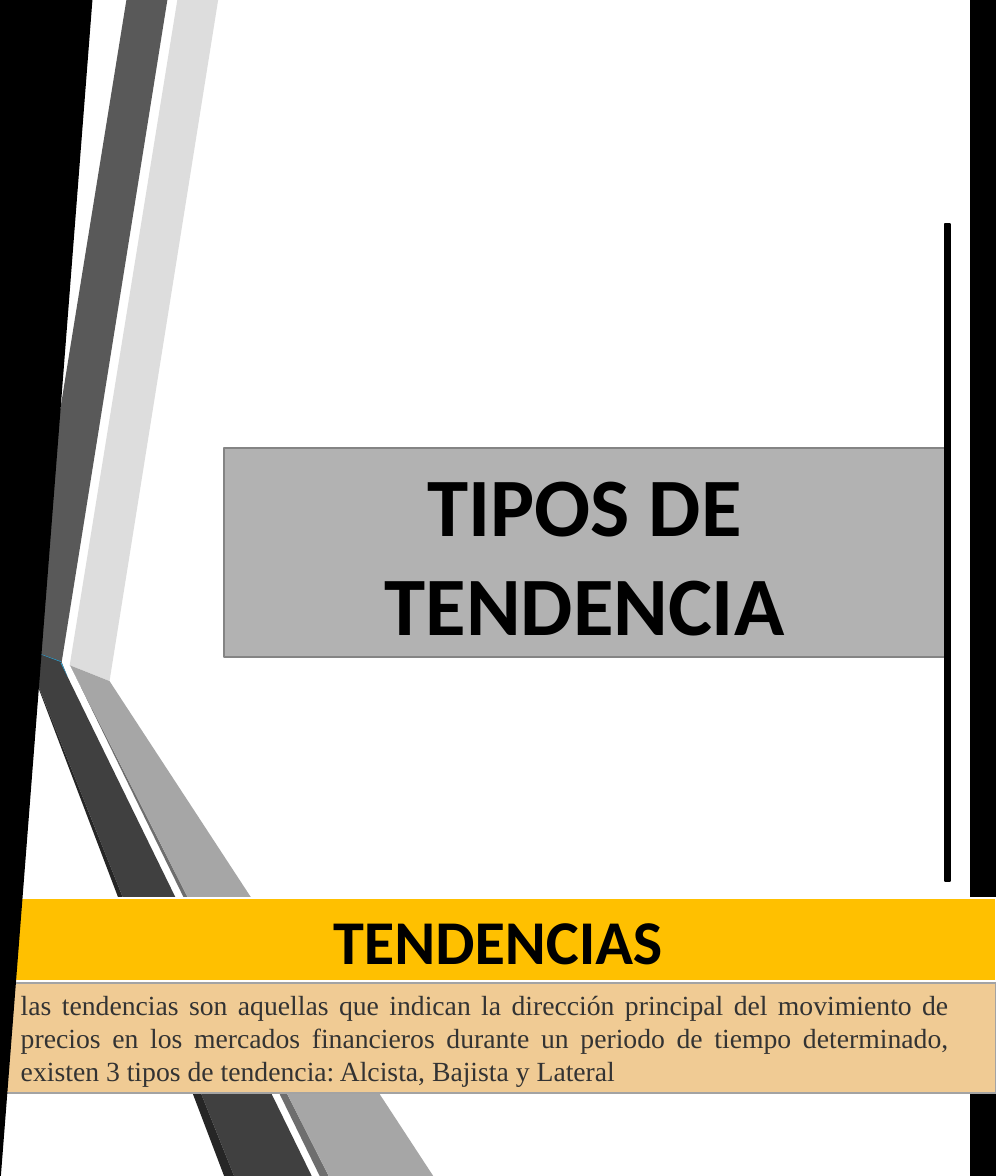
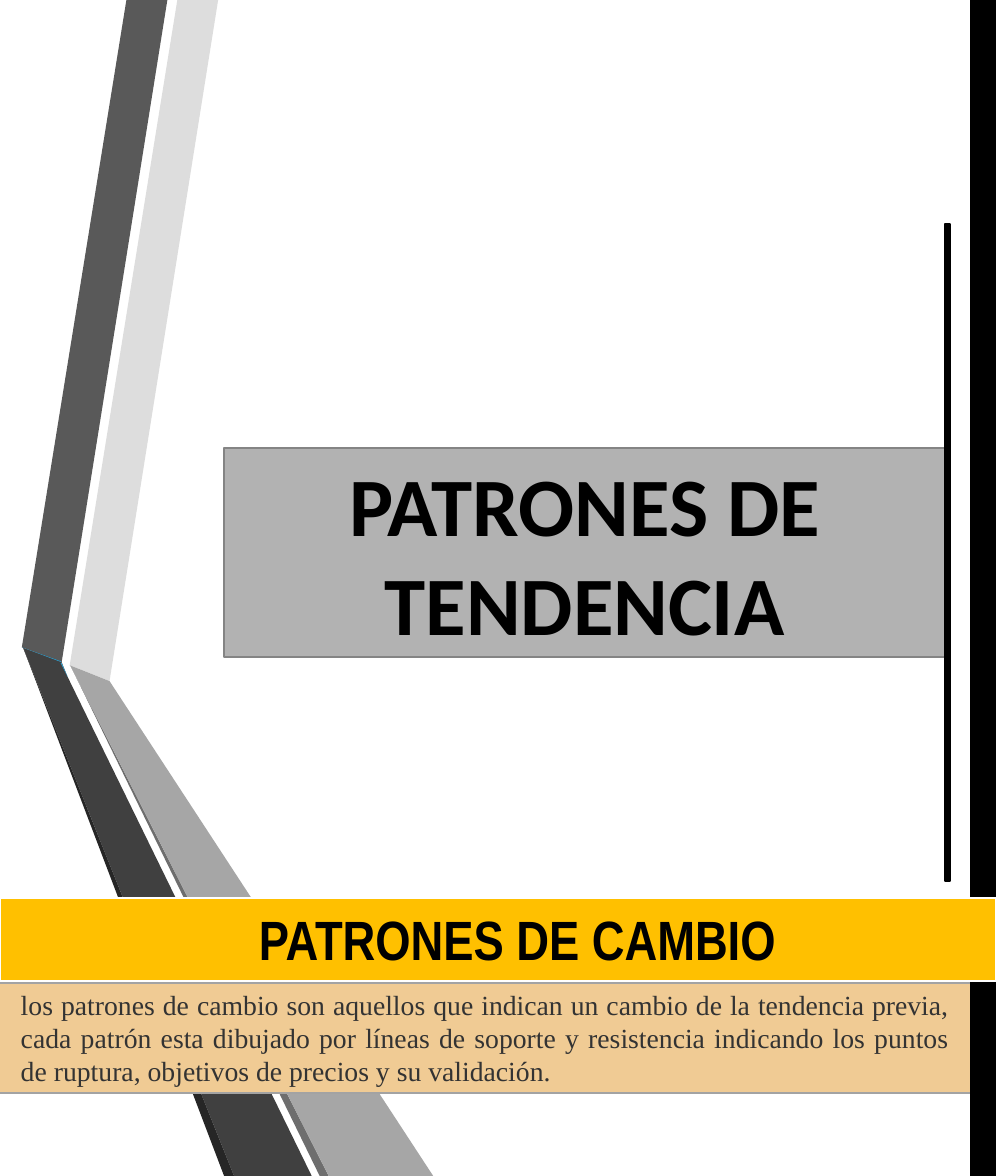
from pptx import Presentation
from pptx.dml.color import RGBColor
from pptx.enum.shapes import MSO_SHAPE
from pptx.enum.text import MSO_ANCHOR, MSO_AUTO_SIZE, PP_ALIGN
from pptx.util import Pt

RECTANGLE = MSO_SHAPE.RECTANGLE
TRIANGLE = MSO_SHAPE.ISOSCELES_TRIANGLE
CENTER, JUSTIFY = PP_ALIGN.CENTER, PP_ALIGN.JUSTIFY
MIDDLE, TOP = MSO_ANCHOR.MIDDLE, MSO_ANCHOR.TOP
GROW = MSO_AUTO_SIZE.SHAPE_TO_FIT_TEXT

WIDTH, HEIGHT = 720, 850.32
BLACK, WHITE, INK = "000000", "FFFFFF", "333333"
GREY, GREY_EDGE = "B2B2B2", "848484"
GOLD, SAND, SAND_EDGE = "FFC000", "F0CB94", "A3A3A3"

RIBBONS = [
    ("DDDDDD", [(50.4, 481), (79.2, 492.5), (157.7, 0), (128.2, 0)]),
    ("595959", [(121, 0), (91.4, 0), (15.8, 468), (44.6, 478.8)]),
    ("262626", [(16.6, 468), (162, HEIGHT), (169.2, HEIGHT)]),
    ("6E6E6E", [(237.6, HEIGHT), (51.1, 481.7), (231.1, HEIGHT)]),
    ("A6A6A6", [(50.4, 481), (51.1, 481.7), (237.6, HEIGHT),
                (313.2, HEIGHT), (79.2, 492.5)]),
    ("404040", [(225.4, HEIGHT), (49, 489.6), (44.6, 478.8), (43.9, 478.1),
                (15.8, 468), (16.6, 468), (169.2, HEIGHT)]),
]
GLINTS = [
    ("29ABE2", [(44.6, 478.8), (15.8, 468), (43.9, 478.1)]),
    ("29ABE2", [(43.9, 479.5), (49, 489.6), (44.6, 479.5)]),
]


def color(value):
    return RGBColor.from_string(value)


class Deck:
    def __init__(self):
        self.deck = Presentation()
        self.deck.slide_width, self.deck.slide_height = Pt(WIDTH), Pt(HEIGHT)
        self.page = None

    def add_page(self):
        self.page = self.deck.slides.add_slide(self.deck.slide_layouts[6])
        self.page.background.fill.solid()
        self.page.background.fill.fore_color.rgb = color(WHITE)
        self.outlines(self.page.shapes.add_group_shape().shapes, RIBBONS)
        self.outlines(self.page.shapes, GLINTS)

    def paint(self, shape, fill, line=None, weight=1.25):
        shape.shadow.inherit = False
        shape.fill.solid()
        shape.fill.fore_color.rgb = color(fill)
        if line:
            shape.line.color.rgb = color(line)
            shape.line.width = Pt(weight)
        else:
            shape.line.fill.background()

    def outlines(self, shapes, pieces):
        for fill, points in pieces:
            start, *others = [(Pt(x), Pt(y)) for x, y in points]
            builder = shapes.build_freeform(*start)
            builder.add_line_segments(others)
            self.paint(builder.convert_to_shape(), fill)

    def shape(self, bounds, fill, line, weight=1.25, kind=RECTANGLE):
        shape = self.page.shapes.add_shape(kind, *map(Pt, bounds))
        self.paint(shape, fill, line, weight)
        return shape

    def label(self, box, text, size, font, ink=BLACK, bold=True,
              align=CENTER, anchor=MIDDLE, insets=(5.04, 2.88)):
        frame = box.text_frame
        frame.word_wrap = True
        frame.auto_size = GROW
        frame.vertical_anchor = anchor
        frame.margin_left = frame.margin_right = Pt(insets[0])
        frame.margin_top = frame.margin_bottom = Pt(insets[1])
        para = frame.paragraphs[0]
        para.text = text
        para.alignment = align
        para.font.size, para.font.name, para.font.bold = Pt(size), font, bold
        para.font.color.rgb = color(ink)

    def text(self, bounds, text, size, font, **style):
        box = self.page.shapes.add_textbox(*map(Pt, bounds))
        self.label(box, text, size, font, anchor=TOP, insets=(7.2, 3.6), **style)

    def title(self, text):
        box = self.shape((162, 324, 521.3, 151.2), GREY, GREY_EDGE)
        self.label(box, text, 60, "Calibri")

    def side_bars(self):
        self.shape((702, 0, 18, HEIGHT), BLACK, BLACK)
        self.shape((683.3, 162, 3.6, 475.2), BLACK, BLACK)

    def heading_band(self):
        return self.shape((0, 649.4, WIDTH, 59.8), GOLD, WHITE, 1.75)

    def body_band(self):
        self.shape((-3.6, 710.6, 723.6, 79.9), SAND, SAND_EDGE)

    def body(self, text):
        self.text((7.9, 710.6, 685.4, 79.9), text, 20, "Times New Roman",
                  ink=INK, bold=False, align=JUSTIFY)

    def wedge(self):
        wedge = self.shape((0, 0, 66.2, HEIGHT), BLACK, BLACK, kind=TRIANGLE)
        wedge.adjustments[0] = 1
        wedge.rotation = 180


def add_types_page(deck):
    deck.add_page()
    deck.title("TIPOS DE TENDENCIA")
    deck.side_bars()
    deck.label(deck.heading_band(), "TENDENCIAS", 45, "Calibri")
    deck.body_band()
    deck.body("las tendencias son aquellas que indican la dirección principal "
              "del movimiento de precios en los mercados financieros durante "
              "un periodo de tiempo determinado, existen 3 tipos de tendencia: "
              "Alcista, Bajista y Lateral")
    deck.wedge()


def add_patterns_page(deck):
    deck.add_page()
    deck.body_band()
    deck.title("PATRONES DE TENDENCIA")
    deck.side_bars()
    deck.heading_band()
    deck.text((108.7, 650.9, 530.6, 55.4), "PATRONES DE CAMBIO", 40, "Arial Narrow")
    deck.body("los patrones de cambio son aquellos que indican un cambio de la "
              "tendencia previa, cada patrón esta dibujado por líneas de "
              "soporte y resistencia indicando los puntos de ruptura, "
              "objetivos de precios y su validación.")


def main():
    deck = Deck()
    add_types_page(deck)
    add_patterns_page(deck)
    deck.deck.save("out.pptx")


if __name__ == "__main__":
    main()
